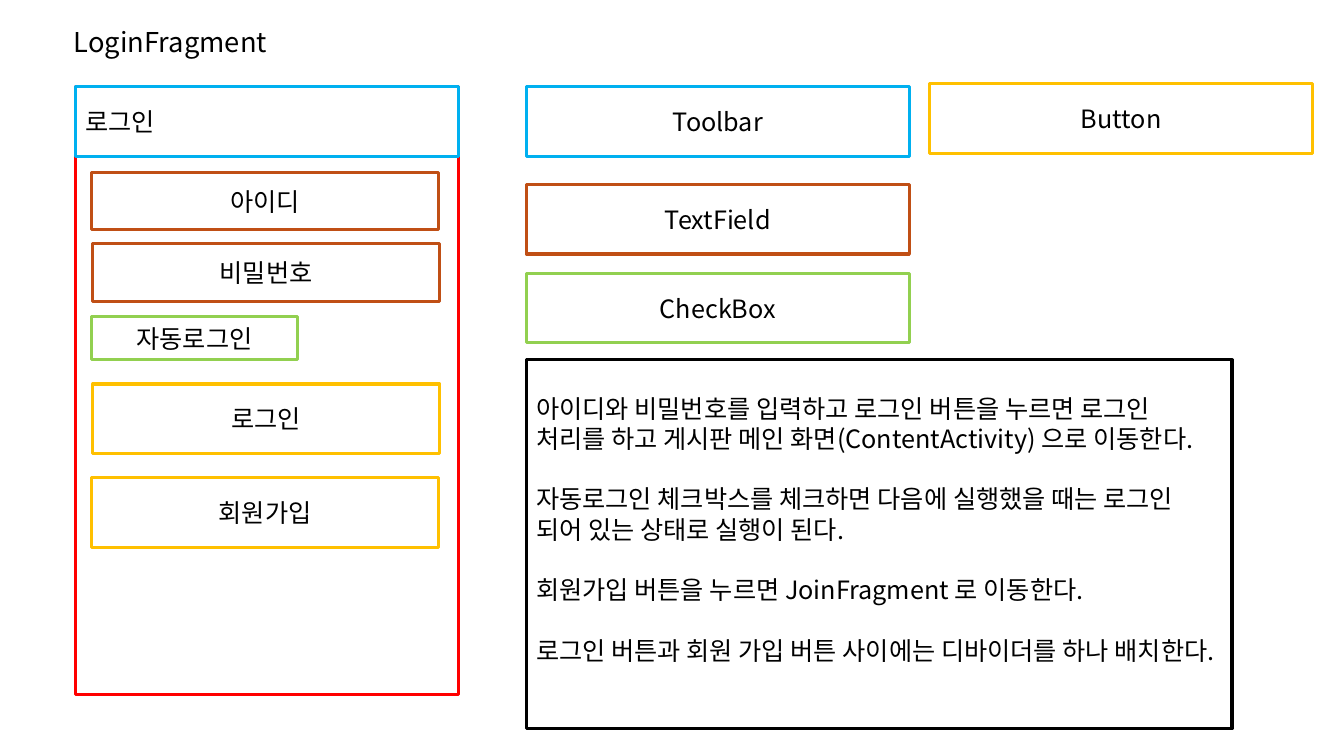
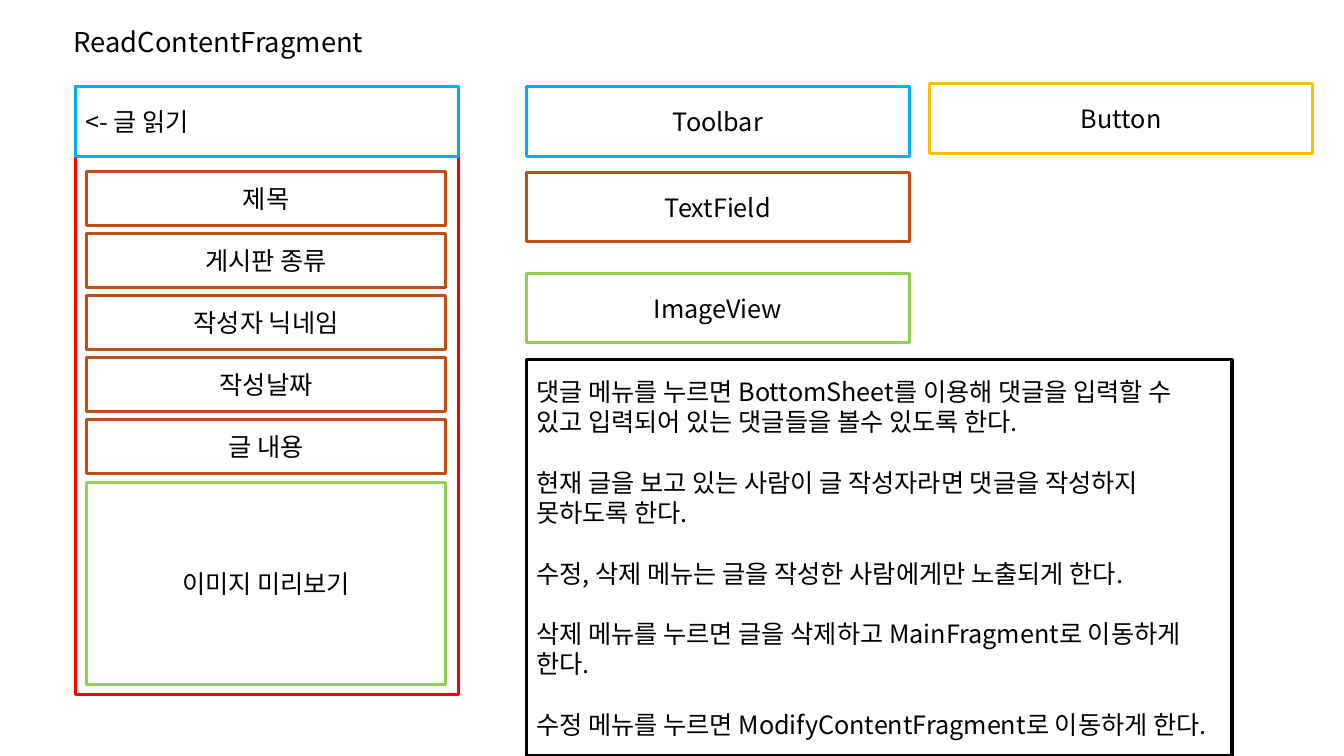
from pptx import Presentation
from pptx.dml.color import RGBColor
from pptx.enum.shapes import MSO_SHAPE
from pptx.enum.text import MSO_ANCHOR, MSO_AUTO_SIZE, PP_ALIGN
from pptx.oxml.ns import qn
from pptx.util import Inches, Pt
from lxml import etree

FONT = "Noto Sans CJK KR"
COLORS = {
    "frame": "FF0000", "bar": "00B0F0", "field": "C04F15",
    "green": "92D050", "button": "FFC000", "note": "000000",
    "text": "000000",
}
SCREEN = (0.75, 0.86, 3.8, 6.03)
LEGEND = (5.22, 0.86, 3.8, 0.69)
BAR = 0.69
LINE = Pt(21.6)


def color(name):
    return RGBColor.from_string(COLORS[name])


def style(para, size, align):
    para.alignment = align
    for run in para.runs:
        run.font.size = Pt(size)
        run.font.name = FONT
        run.font.color.rgb = color("text")
        asian = etree.SubElement(run.font._element, qn("a:ea"))
        asian.set("typeface", FONT)


def add_box(slide, box, hue, text="", align=PP_ALIGN.CENTER):
    """Add an outlined rectangle with its label in the middle."""
    shape = slide.shapes.add_shape(MSO_SHAPE.RECTANGLE, *map(Inches, box))
    shape.shadow.inherit = False
    shape.fill.background()
    shape.line.color.rgb = color(hue)
    shape.line.width = Pt(2.25)
    frame = shape.text_frame
    frame.word_wrap = True
    frame.vertical_anchor = MSO_ANCHOR.MIDDLE
    if text:
        frame.text = text
        for para in frame.paragraphs:
            style(para, 18, align)
    return shape


def add_title(slide, text):
    title = slide.shapes.title
    title.left, title.top = Inches(0.63), Inches(0.27)
    title.width, title.height = Inches(8.31), Inches(0.35)
    frame = title.text_frame
    frame.text = text
    frame.word_wrap = True
    frame.auto_size = MSO_AUTO_SIZE.NONE
    frame.vertical_anchor = MSO_ANCHOR.BOTTOM
    para = frame.paragraphs[0]
    para.line_spacing = 0.7
    style(para, 19.5, PP_ALIGN.LEFT)


def add_screen(slide, box, heading, parts):
    """Draw the phone screen; parts are placed from its top left corner."""
    left, top, width, height = box
    add_box(slide, box, "frame")
    add_box(slide, (left, top, width, BAR), "bar", heading, PP_ALIGN.LEFT)
    for text, hue, x, y, wide, high in parts:
        add_box(slide, (left + x, top + y, wide, high), hue, text)


def add_legend(slide, box, field_y, green):
    """Name the kinds of widget, from the box of the first one."""
    left, top, width, height = box
    items = [
        ("Toolbar", "bar", 0, 0),
        ("TextField", "field", 0, field_y),
        (green, "green", 0, 1.85),
        ("Button", "button", width + 0.2, -0.03),
    ]
    for text, hue, x, y in items:
        add_box(slide, (left + x, top + y, width, height), hue, text)


def add_note(slide, box, lines, bottom):
    shape = add_box(slide, box, "note", "\n".join(lines), PP_ALIGN.LEFT)
    frame = shape.text_frame
    frame.margin_bottom = Inches(bottom)
    for i, para in enumerate(frame.paragraphs):
        para.line_spacing = LINE
        para.space_before = LINE if i else Pt(0)


def add_login(slide):
    add_title(slide, "LoginFragment")
    add_screen(slide, SCREEN, "로그인", [
        ("아이디", "field", 0.16, 0.85, 3.44, 0.57),
        ("비밀번호", "field", 0.17, 1.56, 3.44, 0.57),
        ("자동로그인", "green", 0.16, 2.28, 2.04, 0.43),
        ("로그인", "button", 0.17, 2.95, 3.44, BAR),
        ("회원가입", "button", 0.16, 3.88, 3.44, BAR),
    ])
    add_legend(slide, LEGEND, 0.97, "CheckBox")
    add_note(slide, (5.22, 3.57, 7, 3.66), [
        "아이디와 비밀번호를 입력하고 로그인 버튼을 누르면 로그인 처리를 하고 "
        "게시판 메인 화면(ContentActivity) 으로 이동한다.",
        "자동로그인 체크박스를 체크하면 다음에 실행했을 때는 로그인 "
        "되어 있는 상태로 실행이 된다.",
        "회원가입 버튼을 누르면 JoinFragment 로 이동한다.",
        "로그인 버튼과 회원 가입 버튼 사이에는 디바이더를 하나 배치한다.",
    ], 0.35)


def add_reader(slide):
    add_title(slide, "ReadContentFragment")
    names = ["제목", "게시판 종류", "작성자 닉네임", "작성날짜", "글 내용"]
    step = 2.46 / (len(names) - 1)
    parts = [(name, "field", 0.11, 0.84 + i * step, 3.56, 0.54)
             for i, name in enumerate(names)]
    parts.append(("이미지 미리보기", "green", 0.11, 3.93, 3.56, 2))
    add_screen(slide, SCREEN, "<- 글 읽기", parts)
    add_legend(slide, LEGEND, 0.85, "ImageView")
    add_note(slide, (5.22, 3.57, 7, 3.93), [
        "댓글 메뉴를 누르면 BottomSheet를 이용해 댓글을 입력할 수 있고 "
        "입력되어 있는 댓글들을 볼수 있도록 한다.",
        "현재 글을 보고 있는 사람이 글 작성자라면 댓글을 작성하지 "
        "못하도록 한다.",
        "수정, 삭제 메뉴는 글을 작성한 사람에게만 노출되게 한다.",
        "삭제 메뉴를 누르면 글을 삭제하고 MainFragment로 이동하게 한다.",
        "수정 메뉴를 누르면 ModifyContentFragment로 이동하게 한다.",
    ], 0.05)


def main():
    deck = Presentation()
    deck.slide_width, deck.slide_height = Inches(13.33), Inches(7.5)
    layout = deck.slide_layouts.get_by_name("Title Only")
    for build in (add_login, add_reader):
        build(deck.slides.add_slide(layout))
    deck.save("out.pptx")


if __name__ == "__main__":
    main()
